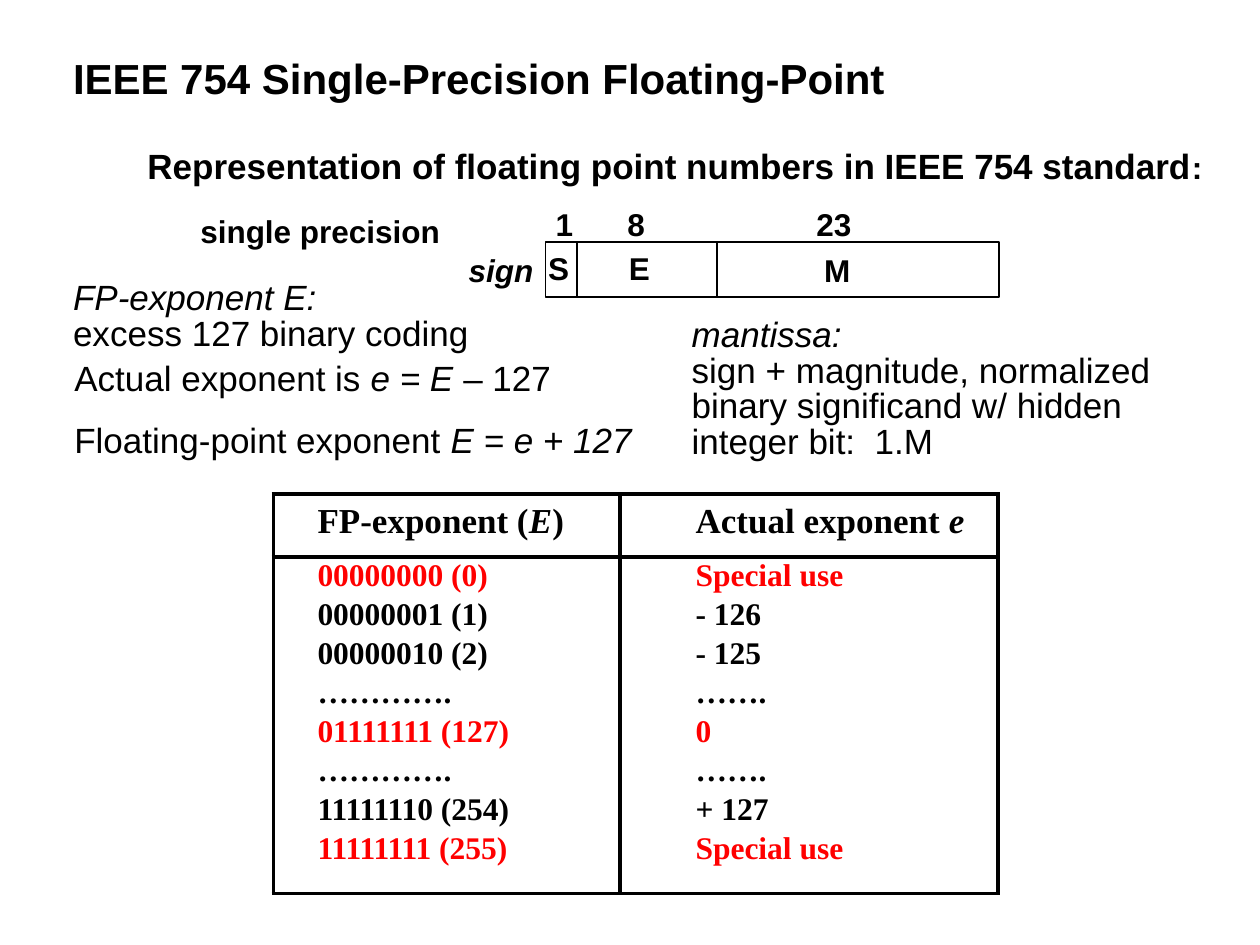
from dataclasses import dataclass

import pptx
import pptx.dml.color
import pptx.enum.shapes
import pptx.enum.text
import pptx.oxml
import pptx.oxml.ns
import pptx.util

Inches = pptx.util.Inches
Pt = pptx.util.Pt

COLORS = {"ink": "000000", "highlight": "FF0000"}


@dataclass
class Run:
    text: str
    size: float = 20
    bold: bool = False
    italic: bool = False
    color: str = "ink"
    font: str = "Arial"


@dataclass
class Label:
    left: float
    top: float
    width: float
    height: float
    paragraphs: list[list[Run]]
    line_spacing: float = 0.85
    gap: float = 0


def rgb(color: str) -> pptx.dml.color.RGBColor:
    return pptx.dml.color.RGBColor.from_string(COLORS[color])


def add_run(paragraph, content: Run) -> None:
    run = paragraph.add_run()
    run.text = content.text
    run.font.name = content.font
    run.font.size = Pt(content.size)
    run.font.bold = content.bold
    run.font.italic = content.italic
    run.font.color.rgb = rgb(content.color)


def add_label(slide, label: Label) -> None:
    box = slide.shapes.add_textbox(
        Inches(label.left), Inches(label.top), Inches(label.width), Inches(label.height))
    frame = box.text_frame
    frame.word_wrap = True
    frame.auto_size = pptx.enum.text.MSO_AUTO_SIZE.SHAPE_TO_FIT_TEXT
    frame.margin_left = Inches(0.07)
    frame.margin_right = 0
    frame.margin_top = frame.margin_bottom = Inches(0.03)
    for index, runs in enumerate(label.paragraphs):
        paragraph = frame.paragraphs[0] if index == 0 else frame.add_paragraph()
        paragraph.line_spacing = label.line_spacing
        if index:
            paragraph.space_before = Pt(label.gap)
        for content in runs:
            add_run(paragraph, content)


def add_word_layout(slide, left: float, top: float, width: float, height: float,
                    dividers: list[float]) -> None:
    """Draw the outline of the 32-bit word and the lines between its fields."""
    word = slide.shapes.add_shape(
        pptx.enum.shapes.MSO_SHAPE.RECTANGLE,
        Inches(left), Inches(top), Inches(width), Inches(height))
    word.shadow.inherit = False
    word.fill.background()
    word.line.color.rgb = rgb("ink")
    word.line.width = Pt(1)
    for x in dividers:
        divider = slide.shapes.add_connector(
            pptx.enum.shapes.MSO_CONNECTOR.STRAIGHT,
            Inches(x), Inches(top), Inches(x), Inches(top + height))
        divider.line.color.rgb = rgb("ink")
        divider.line.width = Pt(1)
        divider._element.spPr.append(pptx.oxml.parse_xml(
            f'<a:effectLst {pptx.oxml.ns.nsdecls("a")}/>'))


def set_borders(cell, visible: set[str]) -> None:
    """Draw the sides named in visible (L, R, T, B) and hide the others."""
    properties = cell._tc.get_or_add_tcPr()
    for index, side in enumerate("LRTB"):
        paint = (f'<a:solidFill><a:srgbClr val="{COLORS["ink"]}"/></a:solidFill>'
                 if side in visible else "<a:noFill/>")
        properties.insert(index, pptx.oxml.parse_xml(
            f'<a:ln{side} {pptx.oxml.ns.nsdecls("a")} w="{Pt(2.25)}">{paint}</a:ln{side}>'))


def add_exponent_table(slide, rows: list[list[list[Run]]]) -> None:
    widths = [2.75, 3.0]
    indents = [0.35, 0.6]
    heights = [0.5] + [0.31] * (len(rows) - 2) + [0.5]
    table = slide.shapes.add_table(
        len(rows), len(widths), Inches(2.17), Inches(3.92),
        Inches(sum(widths)), Inches(sum(heights))).table
    table.first_row = table.horz_banding = False
    for column, width in zip(table.columns, widths):
        column.width = Inches(width)
    for index, (row, height) in enumerate(zip(rows, heights)):
        table.rows[index].height = Inches(height)
        sides = {"L", "R"}
        if index <= 1:
            sides.add("T")
        if index in (0, len(rows) - 1):
            sides.add("B")
        for column, runs in enumerate(row):
            cell = table.cell(index, column)
            cell.fill.background()
            cell.margin_left = Inches(indents[column])
            cell.margin_right = 0
            cell.margin_top = Inches(0.01 if index else 0)
            cell.margin_bottom = Inches(0 if index else 0.06)
            cell.vertical_anchor = (pptx.enum.text.MSO_ANCHOR.TOP if index
                                    else pptx.enum.text.MSO_ANCHOR.MIDDLE)
            for content in runs:
                add_run(cell.text_frame.paragraphs[0], content)
            set_borders(cell, sides)


def serif(text: str, size: float = 20, italic: bool = False, color: str = "ink") -> Run:
    return Run(text, size, True, italic, color, "Times New Roman")


LABELS = [
    Label(0.51, 0.44, 6.8, 0.41,
          [[Run("IEEE 754 Single-Precision Floating-Point", 24, True)]], 0.87),
    Label(1.1, 1.17, 8.7, 0.33,
          [[Run("Representation of floating point numbers in IEEE 754 standard", bold=True),
            Run(":", 18, True)]]),
    Label(1.52, 1.7, 2.2, 0.31, [[Run("single precision", 18, True)]]),
    Label(3.65, 2.01, 0.68, 0.31, [[Run("sign", 18, True, True)]]),
    Label(0.51, 2.21, 3.5, 0.63,
          [[Run("FP-exponent E:", italic=True)], [Run("excess 127 binary coding")]]),
    Label(5.42, 2.5, 3.9, 1.2,
          [[Run("mantissa:", italic=True)],
           [Run("sign + magnitude, normalized")],
           [Run("binary significand w/ hidden")],
           [Run("integer bit:  1.M")]]),
    Label(0.52, 2.88, 4.7, 0.81,
          [[Run("Actual exponent is "), Run("e = E ", italic=True), Run("– 127")],
           [Run("Floating-point exponent "), Run("E = e + 127", italic=True)]],
          0.75, gap=17.5),
]

# text, left, top, width
FIELD_LABELS = [
    ("1", 4.34, 1.64, 0.28), ("8", 4.91, 1.64, 0.28), ("23", 6.41, 1.64, 0.42),
    ("S", 4.28, 1.99, 0.31), ("E", 4.92, 1.99, 0.31), ("M", 6.47, 2.01, 0.35),
]

EXPONENTS = [
    ("00000000 (0)", "Special use", "highlight"),
    ("00000001 (1)", "- 126", "ink"),
    ("00000010 (2)", "- 125", "ink"),
    ("………….", "…….", "ink"),
    ("01111111 (127)", "0", "highlight"),
    ("………….", "…….", "ink"),
    ("11111110 (254)", "+ 127", "ink"),
    ("11111111 (255)", "Special use", "highlight"),
]


def main() -> None:
    presentation = pptx.Presentation()
    presentation.slide_width = Inches(10)
    presentation.slide_height = Inches(7.5)
    slide = presentation.slides.add_slide(presentation.slide_layouts[6])

    add_word_layout(slide, 4.33, 1.92, 3.6, 0.44, dividers=[4.58, 5.69])
    for label in LABELS:
        add_label(slide, label)
    for text, left, top, width in FIELD_LABELS:
        add_label(slide, Label(left, top, width, 0.31, [[Run(text, 18, True)]]))

    header = [[serif("FP-exponent ("), serif("E", italic=True), serif(")")],
              [serif("Actual exponent "), serif("e", italic=True)]]
    body = [[[serif(text, 18, color=color)] for text in (stored, actual)]
            for stored, actual, color in EXPONENTS]
    add_exponent_table(slide, [header] + body)

    presentation.save("out.pptx")


if __name__ == "__main__":
    main()
